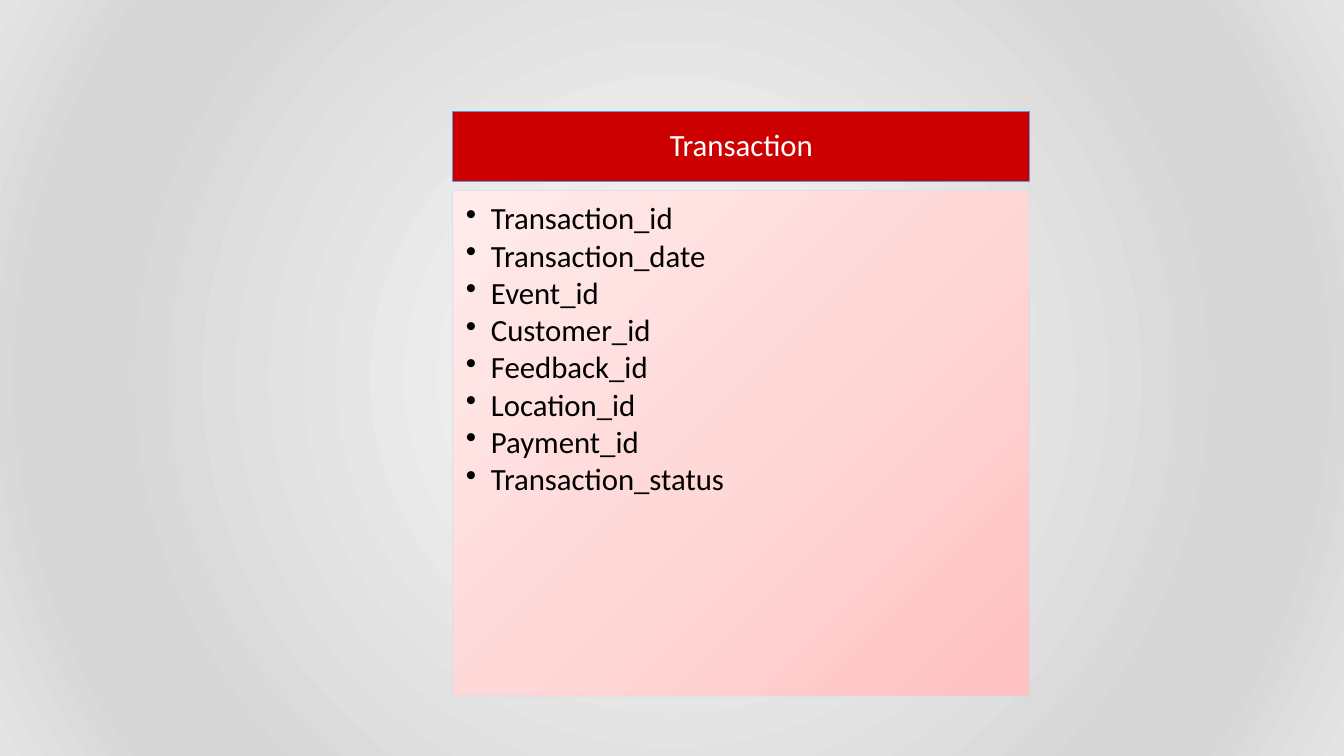
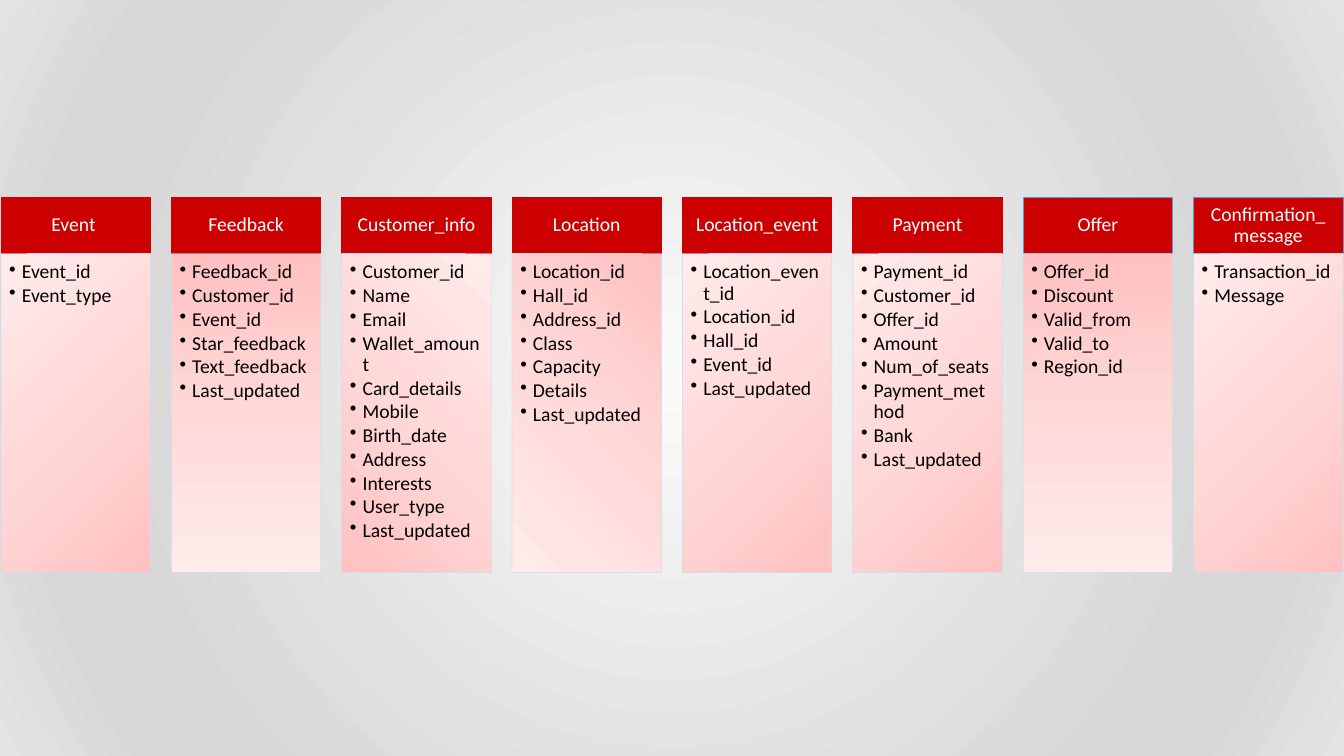
import pptx
import pptx.dml.color
import pptx.enum.shapes
import pptx.enum.text
import pptx.oxml.ns
import pptx.util
from lxml import etree

Pt = pptx.util.Pt
qn = pptx.oxml.ns.qn
Align = pptx.enum.text.PP_ALIGN
Anchor = pptx.enum.text.MSO_ANCHOR

FONT = "Calibri"
RED, DARK, BLUE = "CC0000", "C00000", "5B9BD5"
PALE, WHITE, BLACK = "D2DEEF", "FFFFFF", "000000"
GREYS = [(0, "FAFAFA"), (74, "D7D7D7"), (83, "D7D7D7"), (100, "E4E4E4")]
PINKS = [(0, "FFC1C1"), (50, "FFD8D8"), (100, "FFEBEB")]

# A gradient runs from a focus rectangle (l, t, r, b) or along an angle.
MID = (50, 50, 50, 50)
RIGHT = (100, 100, 0, 0)
LEFT = (0, 100, 100, 0)

# Insets (l, t, r, b) as shares of the text size.
HEAD_PAD = (0.56, 0.32, 0.56, 0.32)
BODY_PAD = (0.42, 0.42, 0.56, 0.63)

MAIN = ("Transaction", BLUE, RIGHT, [
    "Transaction_id", "Transaction_date", "Event_id", "Customer_id",
    "Feedback_id", "Location_id", "Payment_id", "Transaction_status"])

TABLES = [
    ("Event ", RED, RIGHT, ["Event_id", "Event_type"]),
    ("Feedback", RED, 90, [
        "Feedback_id", "Customer_id", "Event_id", "Star_feedback",
        "Text_feedback", "Last_updated"]),
    ("Customer_info", RED, LEFT, [
        "Customer_id", "Name", "Email", "Wallet_amount", "Card_details",
        "Mobile", "Birth_date", "Address", "Interests", "User_type",
        "Last_updated"]),
    ("Location", DARK, 135, [
        "Location_id", "Hall_id", "Address_id", "Class", "Capacity",
        "Details", "Last_updated"]),
    ("Location_event", RED, RIGHT, [
        "Location_event_id", "Location_id", "Hall_id", "Event_id",
        "Last_updated"]),
    ("Payment", RED, RIGHT, [
        "Payment_id", "Customer_id", "Offer_id", "Amount", "Num_of_seats",
        "Payment_method", "Bank", "Last_updated"]),
    ("Offer", BLUE, 90, [
        "Offer_id", "Discount", "Valid_from", "Valid_to", "Region_id"]),
    ("Confirmation_message", BLUE, RIGHT, ["Transaction_id", "Message"]),
]


def rgb(code):
    return pptx.dml.color.RGBColor.from_string(code)


def put(item, values):
    """Set each attribute named in values on item."""
    for name, value in values.items():
        setattr(item, name, value)


def node(parent, tag, **attrs):
    return etree.SubElement(parent, qn(tag), attrs)


def shade(fill, owner, stops, way):
    """Give owner a gradient along an angle or out of a focus rectangle."""
    fill.gradient()
    grad = owner.find(".//" + qn("a:gradFill"))
    for child in list(grad):
        grad.remove(child)
    chain = node(grad, "a:gsLst")
    for spot, code in stops:
        stop = node(chain, "a:gs", pos=str(spot * 1000))
        node(stop, "a:srgbClr", val=code)
    if isinstance(way, tuple):
        focus = node(grad, "a:path", path="circle")
        sides = {side: str(v * 1000) for side, v in zip("ltrb", way)}
        node(focus, "a:fillToRect", **sides)
    else:
        node(grad, "a:lin", ang=str(way * 60000), scaled="0")


def panel(slide, box, edge, size, pads, anchor):
    """Add a thinly outlined rectangle with insets in step with its text."""
    kind = pptx.enum.shapes.MSO_SHAPE.RECTANGLE
    shape = slide.shapes.add_shape(kind, *map(Pt, box))
    shape.shadow.inherit = False
    shape.line.color.rgb = rgb(edge)
    shape.line.width = Pt(0.5)
    sides = ("margin_left", "margin_top", "margin_right", "margin_bottom")
    put(shape.text_frame, {
        "word_wrap": True, "vertical_anchor": anchor,
        **{side: Pt(size * pad) for side, pad in zip(sides, pads)}})
    return shape


def write(para, text, size, code, style):
    put(para, {"line_spacing": 0.9, **style})
    run = para.add_run()
    run.text = text
    put(run.font, {"name": FONT, "size": Pt(size)})
    run.font.color.rgb = rgb(code)


def head(slide, box, text, edge, size):
    shape = panel(slide, box, edge, size, HEAD_PAD, Anchor.MIDDLE)
    shape.fill.solid()
    shape.fill.fore_color.rgb = rgb(RED)
    write(shape.text_frame.paragraphs[0], text, size, WHITE,
          {"alignment": Align.CENTER})


def body(slide, box, fields, way, size, indent):
    shape = panel(slide, box, PALE, size, BODY_PAD, Anchor.TOP)
    tint = shape.element.find(".//" + qn("a:ln")).find(".//" + qn("a:srgbClr"))
    node(tint, "a:alpha", val="90000")
    shade(shape.fill, shape.element, PINKS, way)
    frame = shape.text_frame
    for i, field in enumerate(fields):
        para = frame.add_paragraph() if i else frame.paragraphs[0]
        props = para._p.get_or_add_pPr()
        props.set("marL", str(Pt(indent)))
        props.set("indent", str(-Pt(indent)))
        node(props, "a:buChar", char="•")
        write(para, field, size, BLACK, {
            "alignment": Align.LEFT, "level": 1,
            "space_after": Pt(0.13 * size)})


def card(slide, box, table, size, top, gap, indent):
    """Draw one table: a head of height top, a gap, and its fields."""
    x, y, w, h = box
    title, edge, way, fields = table
    head(slide, (x, y, w, top), title, edge, size)
    skip = top + gap
    body(slide, (x, y + skip, w, h - skip), fields, way, size, indent)


def row(slide, box, tables):
    """Share the box among tables, with gaps of 14% of a column."""
    x, y, w, h = box
    count = len(tables)
    wide = w / (count + 0.14 * (count - 1))
    for i, table in enumerate(tables):
        card(slide, (x + i * 1.14 * wide, y, wide, h), table,
             size=14, top=40.32, gap=0, indent=9)


def main():
    deck = pptx.Presentation()
    put(deck, {"slide_width": Pt(960), "slide_height": Pt(540)})
    master = deck.slide_master
    shade(master.background.fill, master.element, GREYS, MID)
    blank = deck.slide_layouts[6]
    card(deck.slides.add_slide(blank), (323.5, 79.5, 412, 417.7), MAIN,
         size=22, top=50, gap=6.4, indent=18)
    row(deck.slides.add_slide(blank), (0.75, 141, 958.5, 268), TABLES)
    deck.save("out.pptx")


if __name__ == "__main__":
    main()
